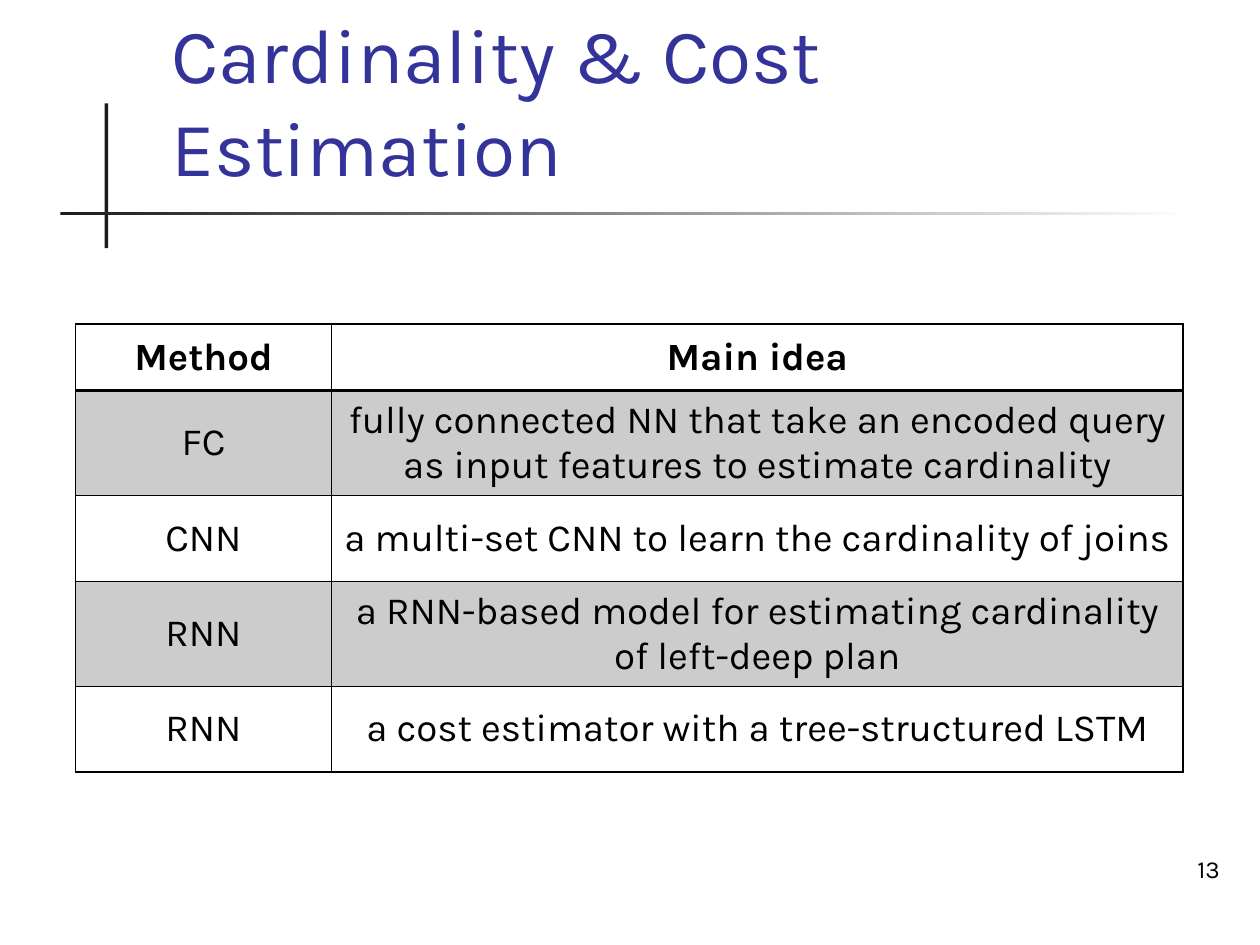
from lxml import etree
from pptx import Presentation
from pptx.dml.color import RGBColor
from pptx.enum.shapes import MSO_SHAPE as SHAPE
from pptx.enum.text import MSO_ANCHOR as ANCHOR, PP_ALIGN as ALIGN
from pptx.oxml import parse_xml
from pptx.oxml.ns import nsdecls, qn
from pptx.util import Inches, Pt

COLORS = {"title": "333399", "text": "000000", "rule": "1C1C1C", "fade": "FFFFFF"}
FONT = "Karla"


def add_text(p, text, size, color, align, bold=False):
    p.alignment = align
    r = p.add_run()
    r.text = text
    r.font.name, r.font.size, r.font.bold = FONT, Pt(size), bold
    r.font.color.rgb = RGBColor.from_string(COLORS[color])


def set_borders(cell, widths):
    tc_pr = cell._tc.get_or_add_tcPr()
    for i, (side, width) in enumerate(widths.items()):
        tc_pr.insert(i, parse_xml(
            f'<a:ln{side} {nsdecls("a")} w="{Pt(width)}"><a:solidFill>'
            f'<a:srgbClr val="{COLORS["text"]}"/></a:solidFill></a:ln{side}>'))


prs = Presentation()
prs.slide_width, prs.slide_height = Inches(10), Inches(7.5)
W, H = prs.slide_width, prs.slide_height
s = prs.slides.add_slide(prs.slide_layouts[5])

# Crossed rules beside and below the title
rules = [(0.83, 0.82, 0.03, 1.15), (0.48, 1.68, 9, 0.03)]
for box in rules:
    sp = s.shapes.add_shape(SHAPE.RECTANGLE, *map(Inches, box))
    sp.shadow.inherit = False
    sp.line.fill.background()
    if box[2] > box[3]:
        sp.fill.gradient()
        sp.fill.gradient_angle = 0
        for stop, color in zip(sp.fill.gradient_stops, ("rule", "fade")):
            stop.color.rgb = RGBColor.from_string(COLORS[color])
    else:
        sp.fill.solid()
        sp.fill.fore_color.rgb = RGBColor.from_string(COLORS["rule"])

# Title
title = s.shapes.title
title.left, title.top = Inches(1.26), Inches(-0.03)
title.width, title.height = Inches(8.52), Inches(1.6)
tf = title.text_frame
tf.word_wrap, tf.vertical_anchor = True, ANCHOR.BOTTOM
add_text(tf.paragraphs[0], "Cardinality & Cost Estimation", 44, "title", ALIGN.LEFT)

# Page number
number = s.shapes.add_textbox(int(W * 0.77), Inches(6.56), Inches(2.08), Inches(0.5))
tf = number.text_frame
tf.word_wrap, tf.vertical_anchor = True, ANCHOR.BOTTOM
add_text(tf.paragraphs[0], "13", 14, "text", ALIGN.RIGHT)

# Table of methods
rows = [
    ("Method", "Main idea"),
    ("FC", "fully connected NN that take an encoded query as input features "
           "to estimate cardinality"),
    ("CNN", "a multi-set CNN to learn the cardinality of joins"),
    ("RNN", "a RNN-based model for estimating cardinality of left-deep plan"),
    ("RNN", "a cost estimator with a tree-structured LSTM"),
]
col_widths = [2.03, 6.76]
row_heights = [0.53, 0.48, 0.68, 0.68, 0.68]
table = s.shapes.add_table(len(rows), len(col_widths), Inches(0.6), Inches(2.57),
                           Inches(sum(col_widths)), Inches(sum(row_heights))).table
for col, width in zip(table.columns, col_widths):
    col.width = Inches(width)
for row, height in zip(table.rows, row_heights):
    row.height = Inches(height)

for i, row in enumerate(rows):
    for j, text in enumerate(row):
        cell = table.cell(i, j)
        cell.vertical_anchor = ANCHOR.MIDDLE
        add_text(cell.text_frame.paragraphs[0], text, 22, "text", ALIGN.CENTER, i == 0)
        # Odd rows are shaded with 20 % black
        if i % 2:
            cell.fill.solid()
            cell.fill.fore_color.rgb = RGBColor.from_string(COLORS["text"])
            shade = cell._tc.tcPr.find(".//" + qn("a:srgbClr"))
            etree.SubElement(shade, qn("a:alpha"), val="20000")
        else:
            cell.fill.background()
        # A heavier line separates the header from the body
        set_borders(cell, {"L": 1, "R": 1, "T": 2 if i == 1 else 1, "B": 2 if i == 0 else 1})

prs.save("out.pptx")
